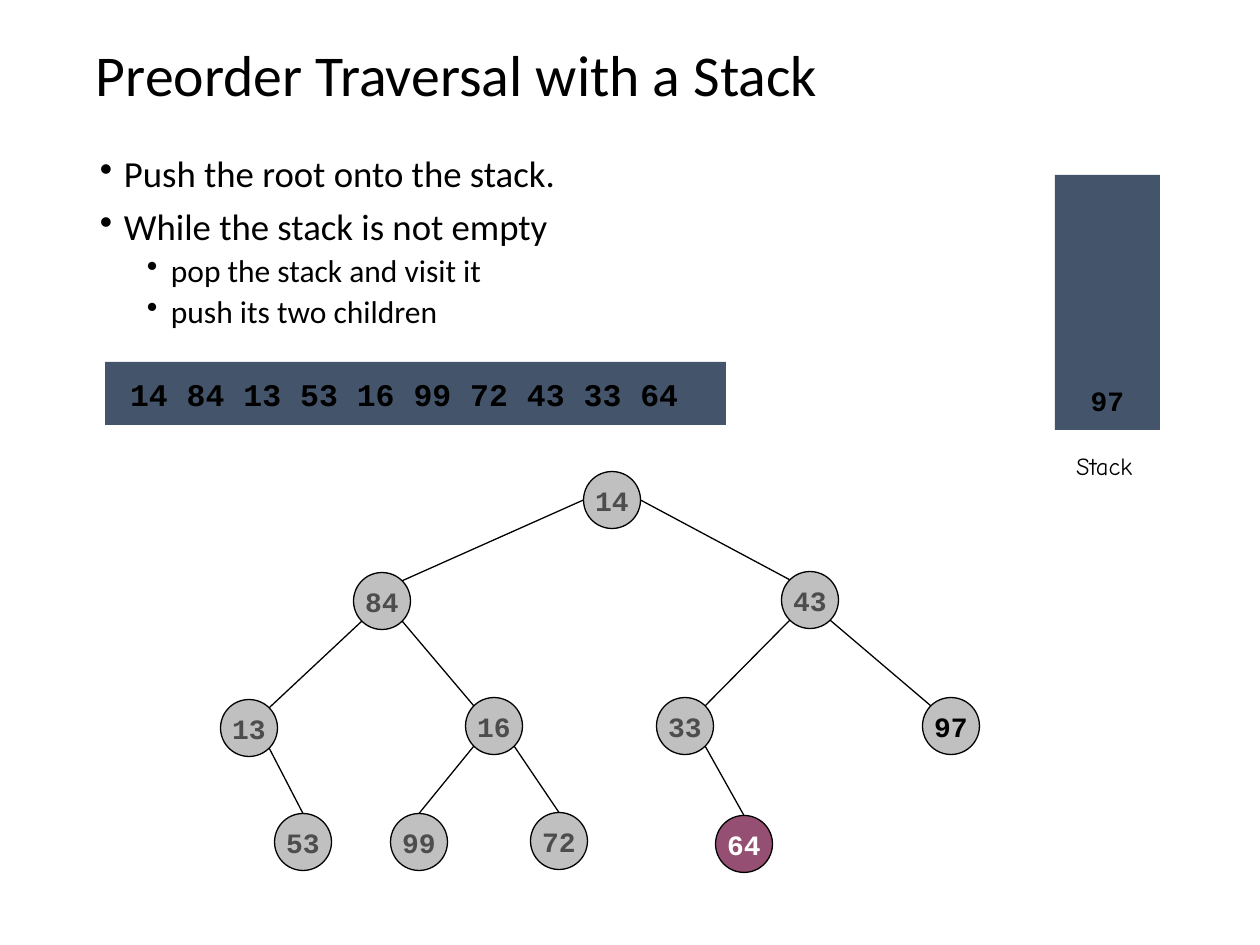
import pptx
import pptx.util
import pptx.dml.color
import pptx.enum.shapes
import pptx.enum.text
import pptx.oxml.ns
from lxml import etree
from dataclasses import dataclass

# Content
TITLE = "Preorder Traversal with a Stack"
BULLETS = [
    (0, "Push the root onto the stack."),
    (0, "While the stack is not empty"),
    (1, "pop the stack and visit it"),
    (1, "push its two children"),
]
VISITED = ["14", "84", "13", "53", "16", "99", "72", "43", "33", "64"]
STACK = ["97"]
CURRENT = "64"
NODES = {  # key: (centre x, centre y)
    "14": (612, 500),
    "84": (382, 601), "43": (810, 600),
    "13": (249, 728), "16": (494, 726), "33": (685, 726), "97": (951, 726),
    "53": (303, 842), "99": (419, 842), "72": (559, 841), "64": (744, 844),
}
CHILDREN = {  # parent: (left child, right child)
    "14": ("84", "43"),
    "84": ("13", "16"),
    "43": ("33", "97"),
    "13": (None, "53"),
    "16": ("99", "72"),
    "33": (None, "64"),
}
ROOT = "14"


@dataclass(frozen=True)
class Theme:
    body: str = "Calibri"
    code: str = "Courier New"
    label: str = "Comic Neue"
    ink: str = "000000"
    seen: str = "4D4D4D"
    light: str = "FFFFFF"
    panel: str = "44546A"
    node: str = "C0C0C0"
    current: str = "954F72"
    title_size: int = 33
    level_sizes: tuple = (21, 18)
    level_gaps: tuple = (7.5, 3.8)
    output_size: int = 18
    node_size: int = 16
    label_size: int = 14
    line_width: float = 0.75


THEME = Theme()
DIAMETER = 57
ANCHOR = pptx.enum.text.MSO_ANCHOR
ALIGN = pptx.enum.text.PP_ALIGN
SHAPE = pptx.enum.shapes.MSO_SHAPE


def px(value):
    return pptx.util.Emu(round(value * 914400 / 126))


def color(code):
    return pptx.dml.color.RGBColor.from_string(code)


presentation = pptx.Presentation()
presentation.slide_width, presentation.slide_height = px(1260), px(945)
slide = presentation.slides.add_slide(presentation.slide_layouts[6])


def add_bullet(paragraph, level):
    paragraph.level = level
    properties = paragraph._p.get_or_add_pPr()
    properties.set("marL", str(px(24 + 47 * level)))
    properties.set("indent", str(px(-24)))
    bullet = etree.SubElement(properties, pptx.oxml.ns.qn("a:buChar"))
    bullet.set("char", "•")


def write(shape, lines, *, sizes, font=THEME.code, ink=THEME.ink, bold=False,
          align=ALIGN.LEFT, anchor=ANCHOR.TOP, wrap=False, insets=(9, 5, 9, 5),
          spacing=None, gaps=None):
    """Write (level, text) lines; gaps per level turn on bullets."""
    frame = shape.text_frame
    frame.word_wrap, frame.vertical_anchor = wrap, anchor
    (frame.margin_left, frame.margin_top,
     frame.margin_right, frame.margin_bottom) = map(px, insets)
    for index, (level, text) in enumerate(lines):
        paragraph = frame.add_paragraph() if index else frame.paragraphs[0]
        paragraph.alignment = align
        if spacing:
            paragraph.line_spacing = spacing
        if gaps:
            if index:
                paragraph.space_before = pptx.util.Pt(gaps[level])
            add_bullet(paragraph, level)
        run = paragraph.add_run()
        run.text = text
        run.font.name, run.font.bold = font, bold
        run.font.size = pptx.util.Pt(sizes[level])
        run.font.color.rgb = color(ink)


def add_box(kind, left, top, width, height, fill, line=None):
    shape = slide.shapes.add_shape(kind, px(left), px(top), px(width), px(height))
    shape.shadow.inherit = False
    shape.fill.solid()
    shape.fill.fore_color.rgb = color(fill)
    if line:
        shape.line.color.rgb = color(line)
        shape.line.width = pptx.util.Pt(THEME.line_width)
    else:
        shape.line.fill.background()
    return shape


def add_textbox(left, top, width, height):
    return slide.shapes.add_textbox(px(left), px(top), px(width), px(height))


def add_edge(parent, child, side):
    """Join two nodes; side is -1 for a left child and 1 for a right child."""
    radius = DIAMETER / 2
    diagonal = radius * 0.71
    (x1, y1), (x2, y2) = NODES[parent], NODES[child]
    if parent == ROOT:
        x1 += side * radius
    else:
        x1, y1 = x1 + side * diagonal, y1 + diagonal
    if y2 > 800:  # bottom row is reached from straight above
        y2 -= radius
    else:
        x2, y2 = x2 - side * diagonal, y2 - diagonal
    edge = slide.shapes.add_connector(
        pptx.enum.shapes.MSO_CONNECTOR.STRAIGHT, px(x1), px(y1), px(x2), px(y2))
    edge.line.color.rgb = color(THEME.ink)
    edge.line.width = pptx.util.Pt(THEME.line_width)
    etree.SubElement(edge._element.spPr, pptx.oxml.ns.qn("a:effectLst"))


# Stack
stack = add_box(SHAPE.RECTANGLE, 1055, 175, 105, 255, THEME.panel)
write(stack, [(0, key) for key in STACK], sizes=[THEME.node_size], bold=True,
      align=ALIGN.CENTER, anchor=ANCHOR.BOTTOM, insets=(13, 6, 13, 13))
write(add_textbox(1063, 445, 92, 42), [(0, "Stack")], sizes=[THEME.label_size],
      font=THEME.label, insets=(13, 6, 13, 6))

# Tree
for key, (x, y) in NODES.items():
    fill, ink = THEME.node, THEME.seen
    if key == CURRENT:
        fill, ink = THEME.current, THEME.light
    elif key not in VISITED:
        ink = THEME.ink
    node = add_box(SHAPE.OVAL, x - DIAMETER / 2, y - DIAMETER / 2,
                   DIAMETER, DIAMETER, fill, THEME.ink)
    write(node, [(0, key)], sizes=[THEME.node_size], ink=ink, bold=True,
          align=ALIGN.CENTER, anchor=ANCHOR.MIDDLE)
for parent, pair in CHILDREN.items():
    for side, child in zip((-1, 1), pair):
        if child:
            add_edge(parent, child, side)

# Visited so far
output = add_box(SHAPE.RECTANGLE, 105, 362, 621, 63, THEME.panel)
write(output, [(0, " ".join(VISITED))], sizes=[THEME.output_size], bold=True,
      anchor=ANCHOR.MIDDLE, insets=(25, 13, 25, 13))

# Steps and title
write(add_textbox(91, 151, 1086, 600), BULLETS, sizes=THEME.level_sizes,
      font=THEME.body, wrap=True, spacing=0.9, gaps=THEME.level_gaps)
write(add_textbox(87, -14, 1086, 183), [(0, TITLE)], sizes=[THEME.title_size],
      font=THEME.body, anchor=ANCHOR.MIDDLE, wrap=True, spacing=0.9)

presentation.save("out.pptx")
